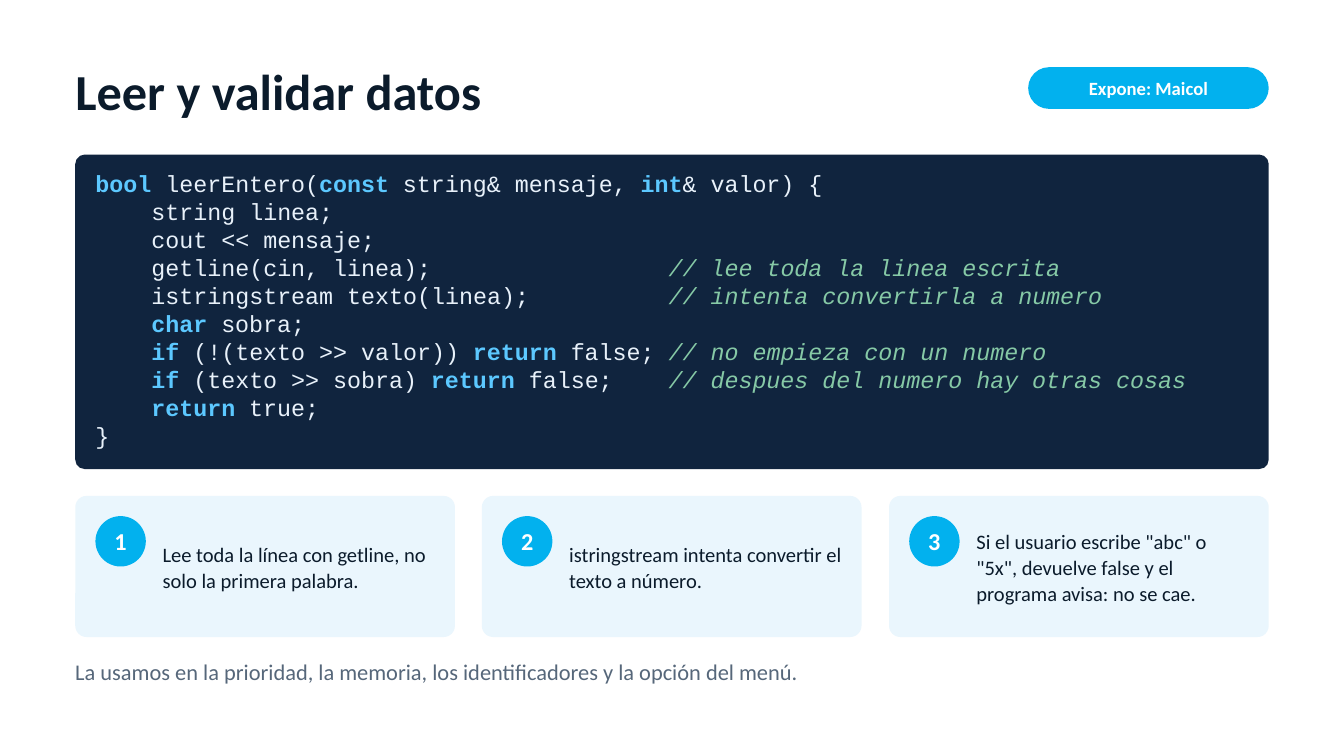
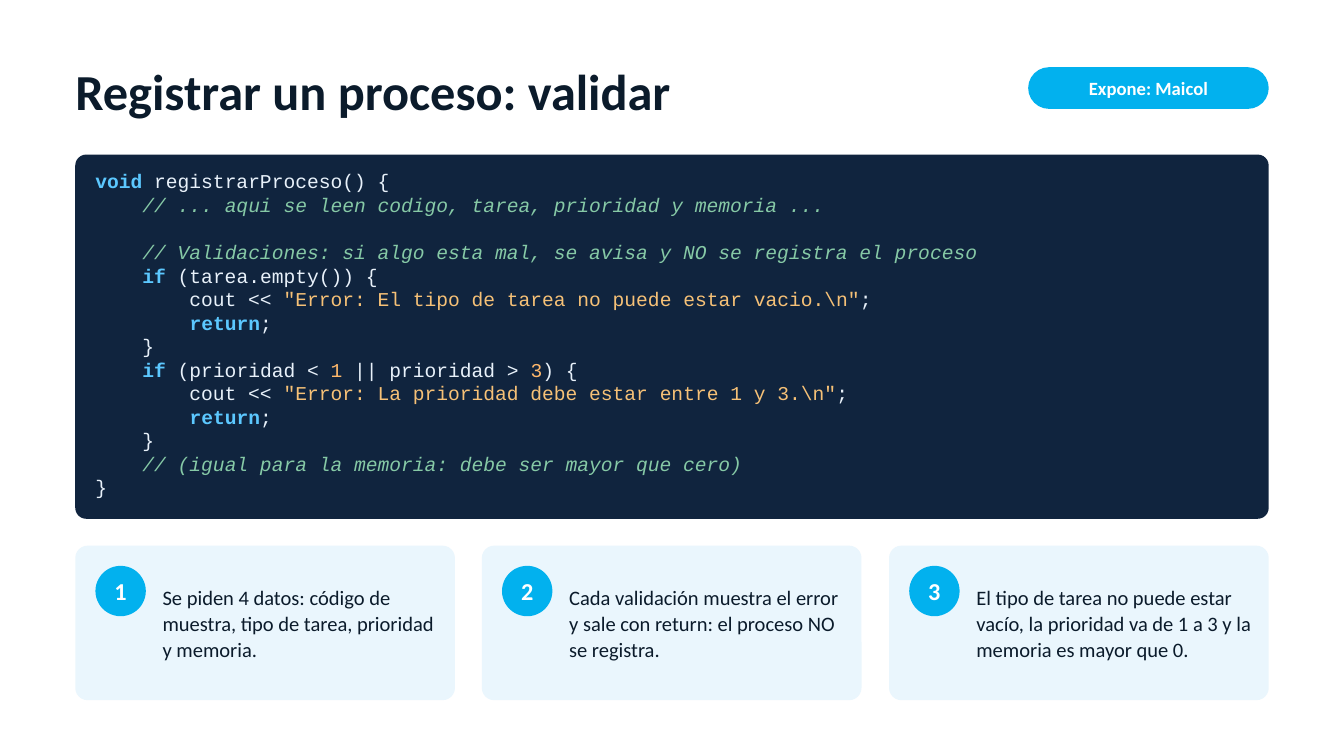
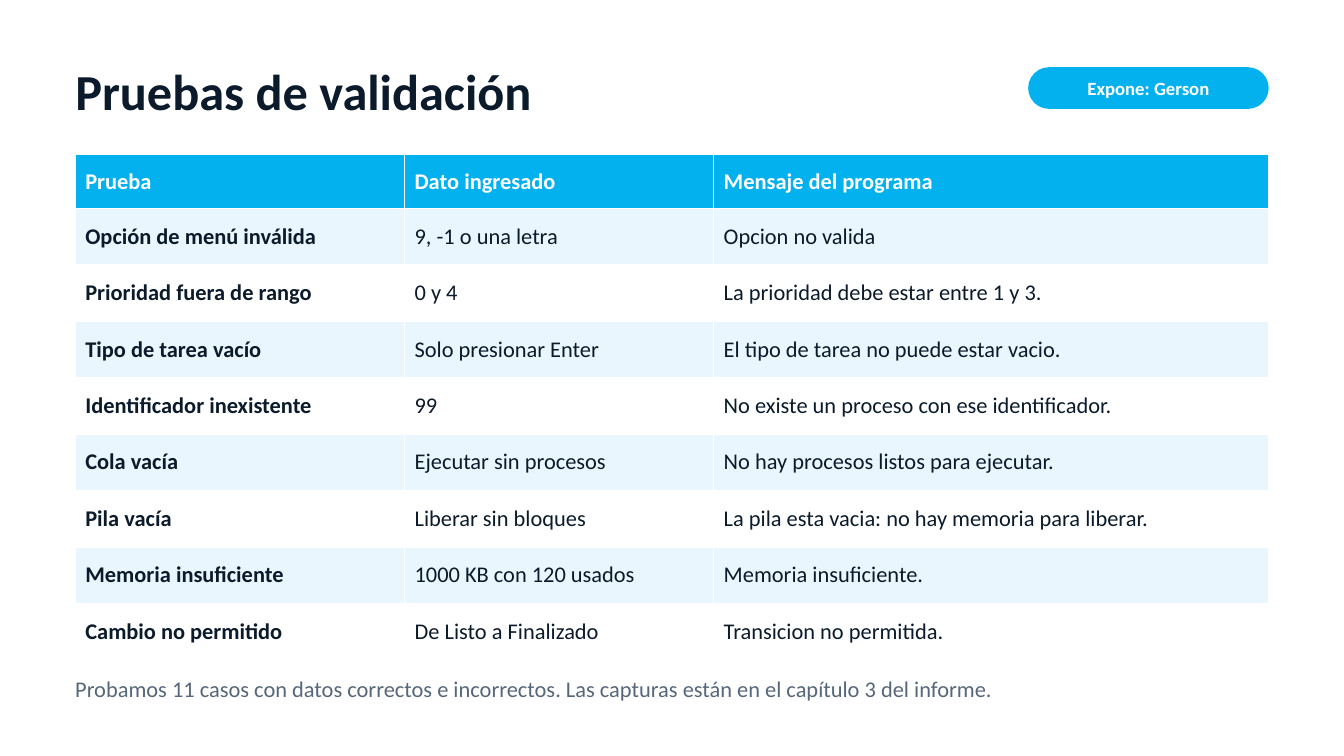
from itertools import groupby

from pptx import Presentation
from pptx.dml.color import RGBColor
from pptx.enum.shapes import MSO_SHAPE
from pptx.enum.text import MSO_ANCHOR, MSO_AUTO_SIZE, PP_ALIGN
from pptx.util import Pt

EMU_PER_PX = 9144  # 100 px to the inch
MARGIN, CONTENT_WIDTH = 112, 1776
CONTENT_TOP = 230
CARD_WIDTH, CARD_GAP = 565, 40
TITLE_ONLY_LAYOUT = 5

TEXT_FONT, CODE_FONT = "Calibri", "Courier New"
WHITE, INK, MUTED = "FFFFFF", "0B1B2B", "56677A"
ACCENT, PALE, CODE_BACKGROUND = "02B1EE", "EAF6FD", "10243E"
CODE_COLORS = {
    "plain": "E8F1FA",
    "keyword": "5CC8FF",
    "comment": "86C9A6",
    "string": "F6C177",
    "number": "FFB86B",
}
KEYWORDS = {"bool", "const", "int", "char", "if", "return", "void"}

READ_CODE = r"""bool leerEntero(const string& mensaje, int& valor) {
    string linea;
    cout << mensaje;
    getline(cin, linea);                 // lee toda la linea escrita
    istringstream texto(linea);          // intenta convertirla a numero
    char sobra;
    if (!(texto >> valor)) return false; // no empieza con un numero
    if (texto >> sobra) return false;    // despues del numero hay otras cosas
    return true;
}"""
READ_STEPS = [
    "Lee toda la línea con getline, no solo la primera palabra.",
    "istringstream intenta convertir el texto a número.",
    'Si el usuario escribe "abc" o "5x", devuelve false y el programa avisa: no se cae.',
]

REGISTER_CODE = r"""void registrarProceso() {
    // ... aqui se leen codigo, tarea, prioridad y memoria ...
 
    // Validaciones: si algo esta mal, se avisa y NO se registra el proceso
    if (tarea.empty()) {
        cout << "Error: El tipo de tarea no puede estar vacio.\n";
        return;
    }
    if (prioridad < 1 || prioridad > 3) {
        cout << "Error: La prioridad debe estar entre 1 y 3.\n";
        return;
    }
    // (igual para la memoria: debe ser mayor que cero)
}"""
REGISTER_STEPS = [
    "Se piden 4 datos: código de muestra, tipo de tarea, prioridad y memoria.",
    "Cada validación muestra el error y sale con return: el proceso NO se registra.",
    "El tipo de tarea no puede estar vacío, la prioridad va de 1 a 3 y la memoria es mayor que 0.",
]

TEST_ROWS = [
    ("Prueba", "Dato ingresado", "Mensaje del programa"),
    ("Opción de menú inválida", "9, -1 o una letra", "Opcion no valida"),
    ("Prioridad fuera de rango", "0 y 4", "La prioridad debe estar entre 1 y 3."),
    ("Tipo de tarea vacío", "Solo presionar Enter", "El tipo de tarea no puede estar vacio."),
    ("Identificador inexistente", "99", "No existe un proceso con ese identificador."),
    ("Cola vacía", "Ejecutar sin procesos", "No hay procesos listos para ejecutar."),
    ("Pila vacía", "Liberar sin bloques", "La pila esta vacia: no hay memoria para liberar."),
    ("Memoria insuficiente", "1000 KB con 120 usados", "Memoria insuficiente."),
    ("Cambio no permitido", "De Listo a Finalizado", "Transicion no permitida."),
]


def px(length):
    return length * EMU_PER_PX


def box(left, top, width, height):
    return px(left), px(top), px(width), px(height)


def color(hex_value):
    return RGBColor.from_string(hex_value)


def set_font(font, size, hex_color, bold=False, name=TEXT_FONT):
    font.name = name
    font.size = Pt(size)
    font.bold = bold
    font.color.rgb = color(hex_color)


def set_margins(target, horizontal, vertical):
    """Set the inner margins of a text frame or a table cell."""
    target.margin_left = target.margin_right = px(horizontal)
    target.margin_top = target.margin_bottom = px(vertical)


def prepare_frame(frame, anchor, horizontal=0, vertical=0):
    frame.word_wrap = True
    frame.auto_size = MSO_AUTO_SIZE.NONE
    frame.vertical_anchor = anchor
    set_margins(frame, horizontal, vertical)


def add_filled_shape(slide, kind, bounds, fill, corner=None):
    shape = slide.shapes.add_shape(kind, *box(*bounds))
    shape.shadow.inherit = False
    shape.fill.solid()
    shape.fill.fore_color.rgb = color(fill)
    shape.line.fill.background()
    if corner is not None:
        shape.adjustments[0] = corner
    return shape


def add_label(shape, text, size):
    """Write centred bold white text inside a shape."""
    prepare_frame(shape.text_frame, MSO_ANCHOR.MIDDLE, 10, 3)
    paragraph = shape.text_frame.paragraphs[0]
    paragraph.text = text
    paragraph.alignment = PP_ALIGN.CENTER
    set_font(paragraph.font, size, WHITE, bold=True)


def add_text(slide, text, bounds, size, hex_color, spacing, anchor=MSO_ANCHOR.TOP):
    frame = slide.shapes.add_textbox(*box(*bounds)).text_frame
    prepare_frame(frame, anchor)
    paragraph = frame.paragraphs[0]
    paragraph.text = text
    paragraph.line_spacing = spacing
    set_font(paragraph.font, size, hex_color)


def add_titled_slide(presentation, title_text, speaker):
    slide = presentation.slides.add_slide(presentation.slide_layouts[TITLE_ONLY_LAYOUT])
    title = slide.shapes.title
    title.left, title.top, title.width, title.height = box(MARGIN, 70, 1400, 130)
    prepare_frame(title.text_frame, MSO_ANCHOR.MIDDLE)
    paragraph = title.text_frame.paragraphs[0]
    paragraph.text = title_text
    paragraph.alignment = PP_ALIGN.LEFT
    set_font(paragraph.font, 54, INK, bold=True)

    pill_bounds = (1530, 100, 358, 62)
    pill = add_filled_shape(slide, MSO_SHAPE.ROUNDED_RECTANGLE, pill_bounds, ACCENT, 0.5)
    add_label(pill, f"Expone: {speaker}", 20)
    return slide


def code_tokens(line):
    """Yield (text, style) for each word, string and comment of a code line."""
    code, slashes, comment = line.partition("//")
    for index, part in enumerate(code.split('"')):
        if index % 2:
            yield f'"{part}"', "string"
            continue
        for _, letters in groupby(part, key=str.isalnum):
            word = "".join(letters)
            if word in KEYWORDS:
                yield word, "keyword"
            else:
                yield word, "number" if word.isdigit() else "plain"
    if slashes:
        yield slashes + comment, "comment"


def add_code_panel(slide, code, size, height):
    panel_bounds = (MARGIN, CONTENT_TOP, CONTENT_WIDTH, height)
    add_filled_shape(slide, MSO_SHAPE.ROUNDED_RECTANGLE, panel_bounds, CODE_BACKGROUND, 0.03)
    text_bounds = (MARGIN + 30, CONTENT_TOP + 22, 1731, height - 44)
    frame = slide.shapes.add_textbox(*box(*text_bounds)).text_frame
    prepare_frame(frame, MSO_ANCHOR.TOP)
    for index, line in enumerate(code.split("\n")):
        paragraph = frame.add_paragraph() if index else frame.paragraphs[0]
        set_font(paragraph.font, size, CODE_COLORS["plain"], name=CODE_FONT)
        for style, tokens in groupby(code_tokens(line), key=lambda token: token[1]):
            run = paragraph.add_run()
            run.text = "".join(text for text, _ in tokens)
            if style != "plain":
                run.font.color.rgb = color(CODE_COLORS[style])
            if style == "keyword":
                run.font.bold = True
            if style == "comment":
                run.font.italic = True


def add_step_cards(slide, steps, top, height):
    for index, step in enumerate(steps):
        left = MARGIN + index * (CONTENT_WIDTH - CARD_WIDTH) // 2
        card_bounds = (left, top, CARD_WIDTH, height)
        add_filled_shape(slide, MSO_SHAPE.ROUNDED_RECTANGLE, card_bounds, PALE, 0.08)
        badge = add_filled_shape(slide, MSO_SHAPE.OVAL, (left + 30, top + 30, 75, 75), ACCENT)
        add_label(badge, str(index + 1), 26)
        text_bounds = (left + 130, top + 20, 410, height - 40)
        add_text(slide, step, text_bounds, 22, INK, 1.05, MSO_ANCHOR.MIDDLE)


def add_code_and_steps(slide, code, code_size, panel_height, steps, card_height):
    add_code_panel(slide, code, code_size, panel_height)
    add_step_cards(slide, steps, CONTENT_TOP + panel_height + CARD_GAP, card_height)


def add_closing_note(slide, text, top, height):
    add_text(slide, text, (MARGIN, top, CONTENT_WIDTH, height), 24, MUTED, 1.1)


def add_test_table(slide, rows, column_widths, header_height, row_height):
    height = header_height + row_height * (len(rows) - 1)
    bounds = box(MARGIN, CONTENT_TOP, CONTENT_WIDTH, height)
    table = slide.shapes.add_table(len(rows), len(column_widths), *bounds).table
    table.horz_banding = False
    for column, width in zip(table.columns, column_widths):
        column.width = px(width)
    for row_index, texts in enumerate(rows):
        is_header = row_index == 0
        table.rows[row_index].height = px(header_height if is_header else row_height)
        fill = ACCENT if is_header else PALE if row_index % 2 else WHITE
        for column_index, text in enumerate(texts):
            cell = table.cell(row_index, column_index)
            cell.fill.solid()
            cell.fill.fore_color.rgb = color(fill)
            cell.vertical_anchor = MSO_ANCHOR.MIDDLE
            set_margins(cell, 15, 6)
            paragraph = cell.text_frame.paragraphs[0]
            paragraph.text = text
            bold = is_header or column_index == 0
            set_font(paragraph.font, 24, WHITE if is_header else INK, bold)


def main():
    presentation = Presentation()
    presentation.slide_width, presentation.slide_height = px(2000), px(1125)

    slide = add_titled_slide(presentation, "Leer y validar datos", "Maicol")
    add_code_and_steps(slide, READ_CODE, 25, 468, READ_STEPS, 210)
    add_closing_note(
        slide,
        "La usamos en la prioridad, la memoria, los identificadores y la opción del menú.",
        975, 70,
    )

    slide = add_titled_slide(presentation, "Registrar un proceso: validar", "Maicol")
    add_code_and_steps(slide, REGISTER_CODE, 21, 542, REGISTER_STEPS, 230)

    slide = add_titled_slide(presentation, "Pruebas de validación", "Gerson")
    add_test_table(slide, TEST_ROWS, (490, 460, 826), 80, 84)
    add_closing_note(
        slide,
        "Probamos 11 casos con datos correctos e incorrectos. "
        "Las capturas están en el capítulo 3 del informe.",
        1000, 60,
    )

    presentation.save("out.pptx")


if __name__ == "__main__":
    main()
